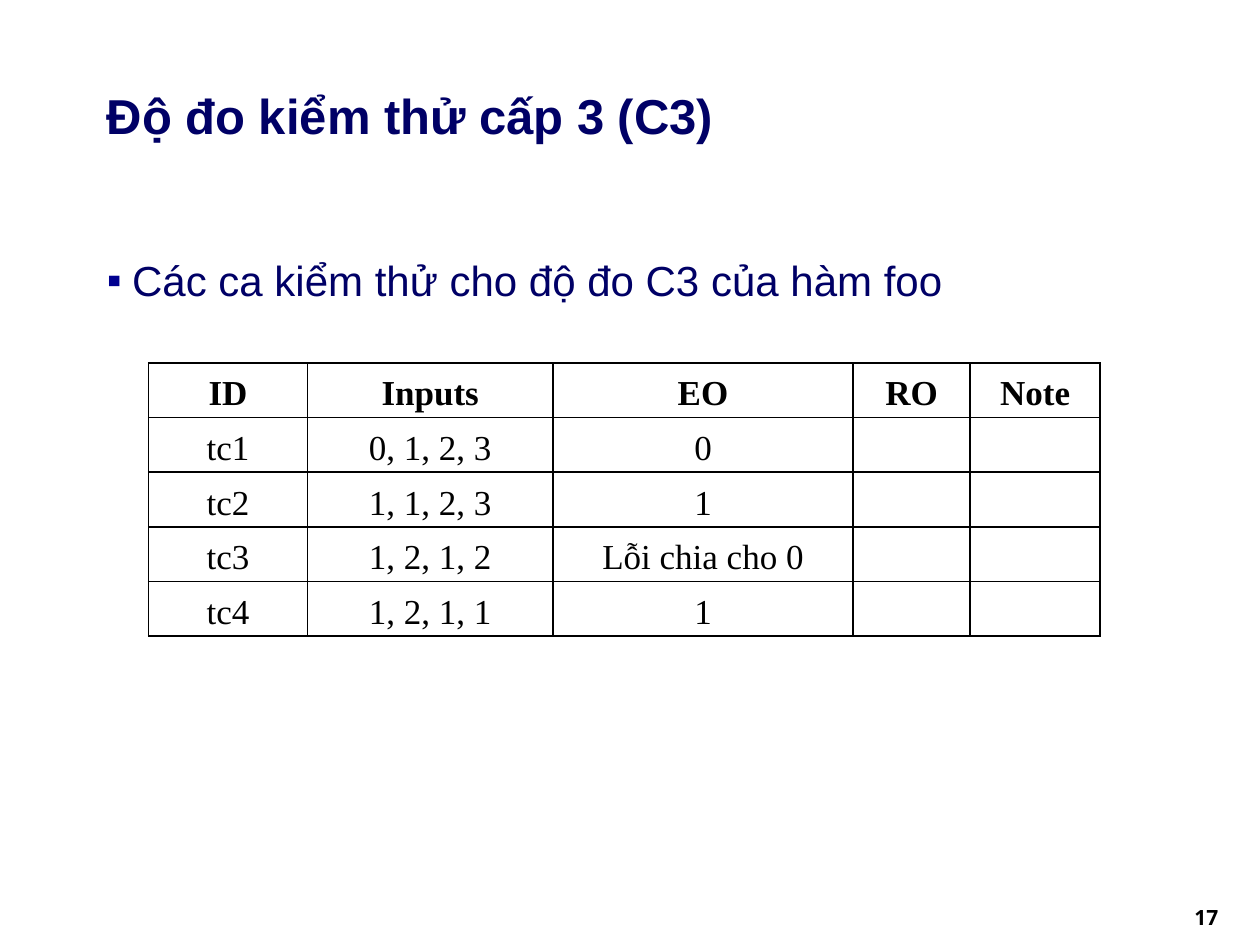
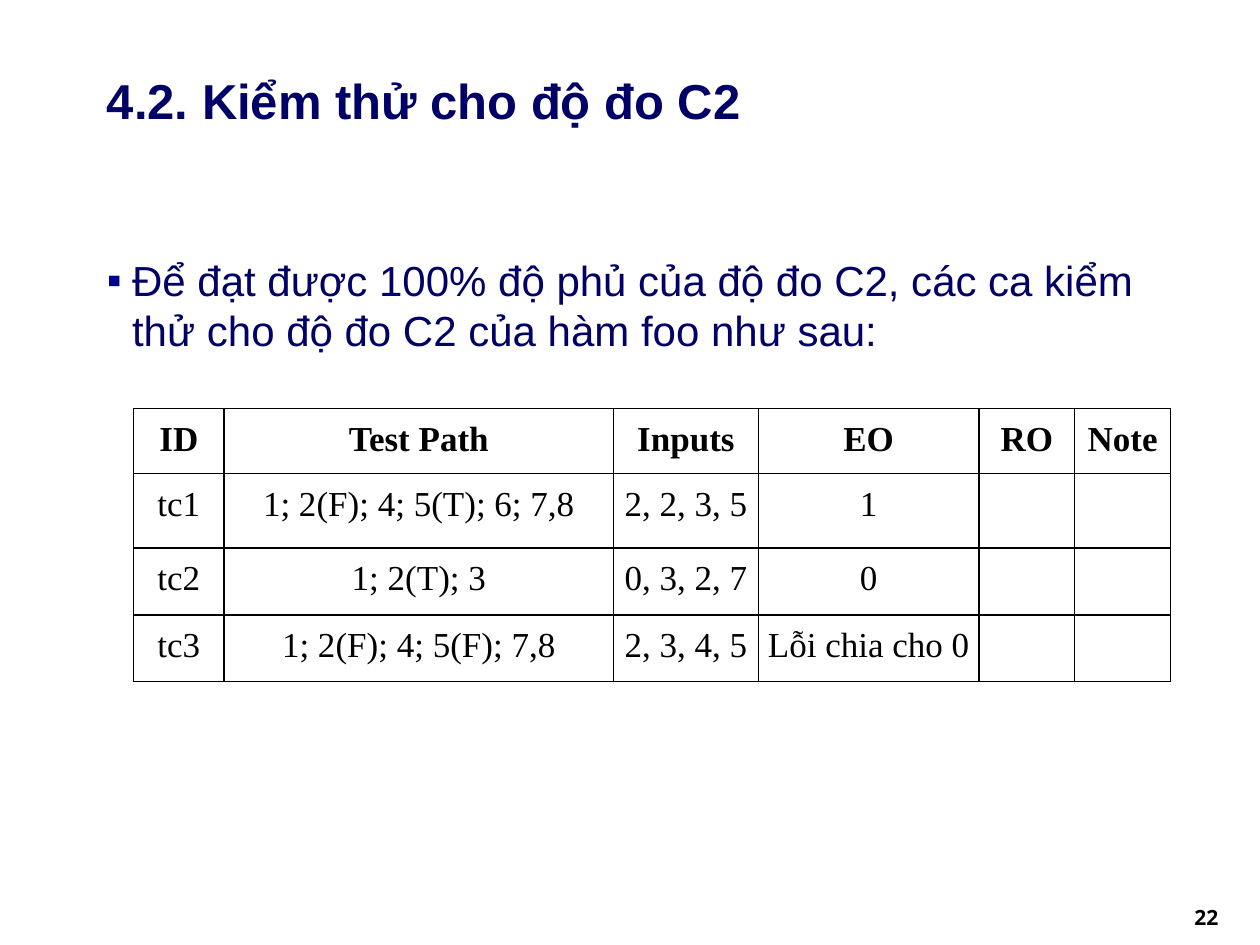
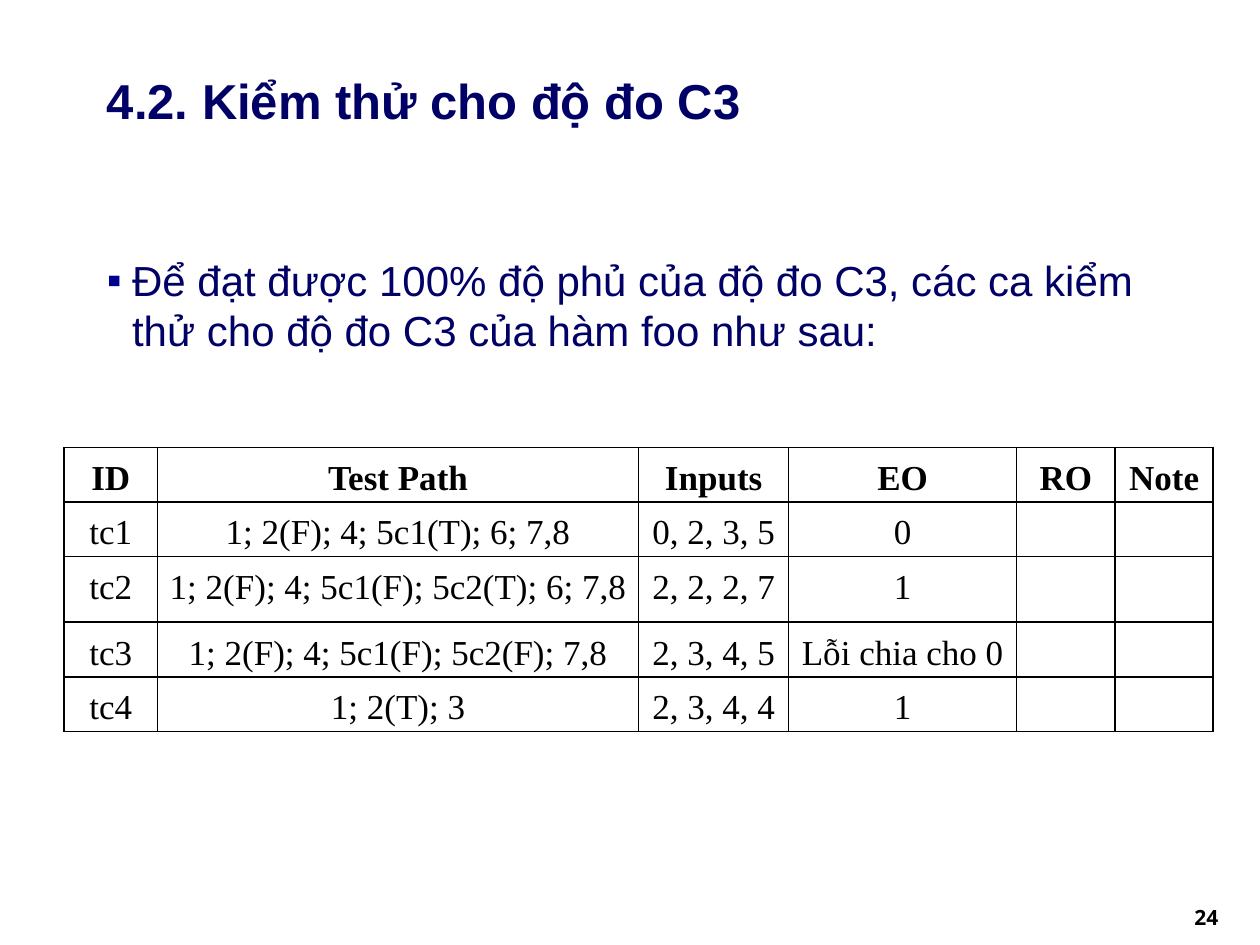
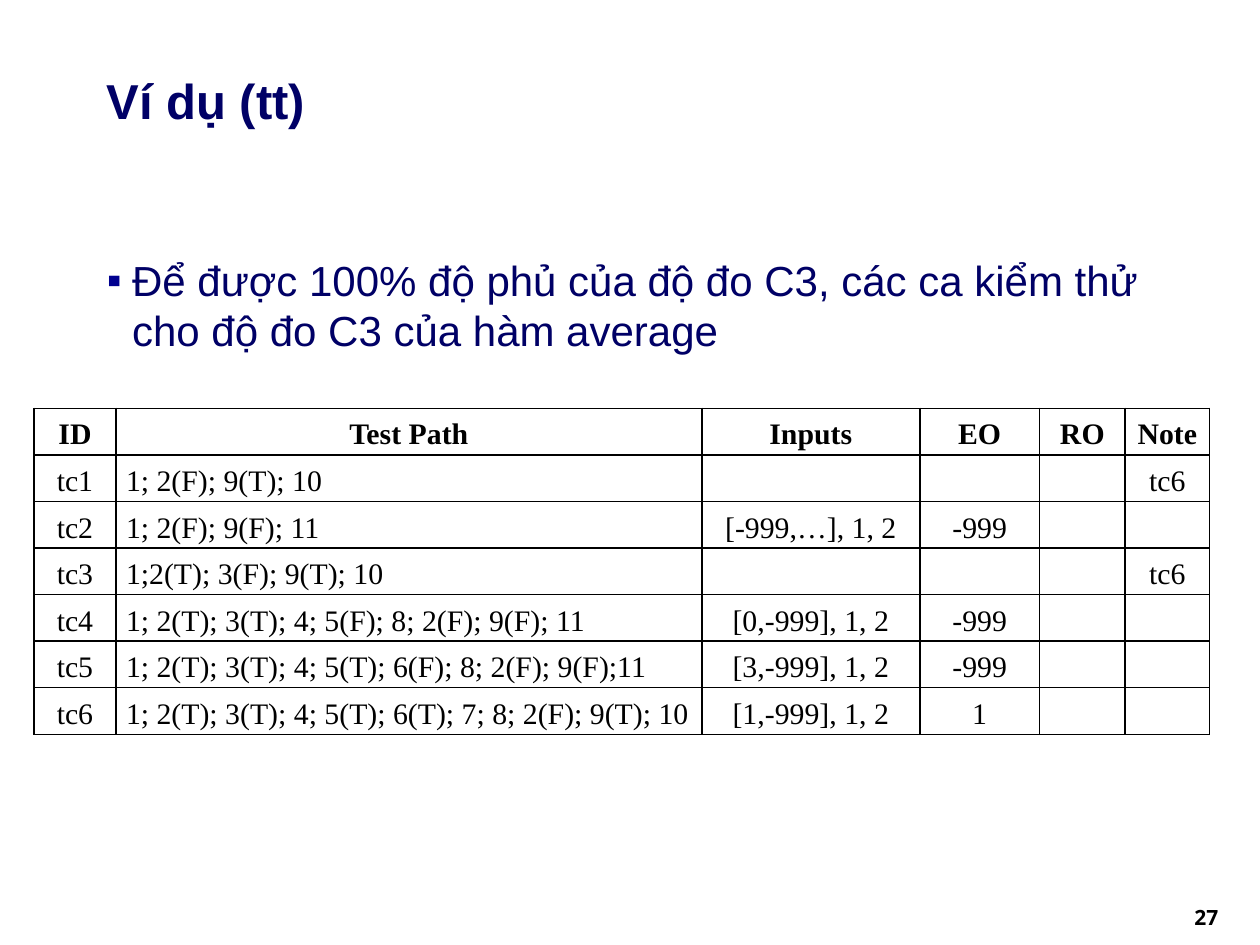
"""Four slides of test-case tables for the coverage measures C2 and C3."""
from lxml.etree import SubElement
from pptx import Presentation
from pptx.dml.color import RGBColor
from pptx.enum.text import MSO_ANCHOR, PP_ALIGN
from pptx.oxml import parse_xml
from pptx.oxml.ns import nsdecls, qn
from pptx.util import Inches, Pt

NAVY, BULLET_BLUE, BLACK = "000066", "000090", "000000"
SLIDE_SIZE = 10, 7.5
TITLE_BOX = 0.75, 0.17, 8.5, 1.25
BODY_BOX = 0.75, 1.97, 8.58, 4.78
NUMBER_BOX = 9.18, 7.14, 0.79, 0.24
BULLET_INDENT = 0.2
TITLE_FONT = {"name": "Arial", "size": 28, "color": NAVY, "bold": True}
BODY_FONT = {"name": "Arial", "size": 24, "color": NAVY, "bold": False}
NUMBER_FONT = {"name": "Noto Sans", "size": 12, "color": BLACK, "bold": True}
HEADER = ["ID", "Test Path", "Inputs", "EO", "RO", "Note"]

SLIDES = [
    {
        "number": 17, "title": "Độ đo kiểm thử cấp 3 (C3)", "title_spacing": 1.5,
        "body": "Các ca kiểm thử cho độ đo C3 của hàm foo",
        "corner": (1.18, 2.88), "columns": [1.26, 1.95, 2.38, 0.93, 1.03],
        "row_heights": [0.43] * 5,
        "rows": [
            ["ID", "Inputs", "EO", "RO", "Note"],
            ["tc1", "0, 1, 2, 3", "0"],
            ["tc2", "1, 1, 2, 3", "1"],
            ["tc3", "1, 2, 1, 2", "Lỗi chia cho 0"],
            ["tc4", "1, 2, 1, 1", "1"],
        ],
    },
    {
        "number": 22, "title": "4.2. Kiểm thử cho độ đo C2",
        "body": "Để đạt được 100% độ phủ của độ đo C2, các ca kiểm thử cho độ đo C2 của hàm foo như sau:",
        "corner": (1.06, 3.24), "columns": [0.72, 3.09, 1.15, 1.75, 0.76, 0.76],
        "row_heights": [0.52, 0.59, 0.53, 0.53],
        "rows": [
            HEADER,
            ["tc1", "1; 2(F); 4; 5(T); 6; 7,8", "2, 2, 3, 5", "1"],
            ["tc2", "1; 2(T); 3", "0, 3, 2, 7", "0"],
            ["tc3", "1; 2(F); 4; 5(F); 7,8", "2, 3, 4, 5", "Lỗi chia cho 0"],
        ],
    },
    {
        "number": 24, "title": "4.2. Kiểm thử cho độ đo C3",
        "body": "Để đạt được 100% độ phủ của độ đo C3, các ca kiểm thử cho độ đo C3 của hàm foo như sau:",
        "corner": (0.51, 3.55), "columns": [0.74, 3.82, 1.19, 1.81, 0.78, 0.78],
        "row_heights": [0.43, 0.43, 0.52, 0.43, 0.43],
        "rows": [
            HEADER,
            ["tc1", "1; 2(F); 4; 5c1(T); 6; 7,8", "0, 2, 3, 5", "0"],
            ["tc2", "1; 2(F); 4; 5c1(F); 5c2(T); 6; 7,8", "2, 2, 2, 7", "1"],
            ["tc3", "1; 2(F); 4; 5c1(F); 5c2(F); 7,8", "2, 3, 4, 5", "Lỗi chia cho 0"],
            ["tc4", "1; 2(T); 3", "2, 3, 4, 4", "1"],
        ],
    },
    {
        "number": 27, "title": "Ví dụ (tt)",
        "body": "Để được 100% độ phủ của độ đo C3, các ca kiểm thử cho độ đo C3 của hàm average",
        "corner": (0.27, 3.24), "columns": [0.65, 4.65, 1.73, 0.95, 0.68, 0.67],
        "row_heights": [0.37] * 7, "size": 17, "margin": 0.08, "left_column": 1,
        "rows": [
            HEADER,
            ["tc1", "1; 2(F); 9(T); 10", "", "", "", "tc6"],
            ["tc2", "1; 2(F); 9(F); 11", "[-999,…], 1, 2", "-999"],
            ["tc3", "1;2(T); 3(F); 9(T); 10", "", "", "", "tc6"],
            ["tc4", "1; 2(T); 3(T); 4; 5(F); 8; 2(F); 9(F); 11", "[0,-999], 1, 2", "-999"],
            ["tc5", "1; 2(T); 3(T); 4; 5(T); 6(F); 8; 2(F); 9(F);11", "[3,-999], 1, 2", "-999"],
            ["tc6", "1; 2(T); 3(T); 4; 5(T); 6(T); 7; 8; 2(F); 9(T); 10", "[1,-999], 1, 2", "1"],
        ],
    },
]


def set_format(target, values):
    for name, value in values.items():
        setattr(target, name, value)


def write(paragraph, text, font, **paragraph_format):
    set_format(paragraph, paragraph_format)
    run = paragraph.add_run()
    run.text = text
    set_format(run.font, {"name": font["name"], "size": Pt(font["size"]), "bold": font["bold"]})
    run.font.color.rgb = RGBColor.from_string(font["color"])


def add_text(slide, box, text, font, anchor, margins=(0.1, 0.05), **paragraph_format):
    frame = slide.shapes.add_textbox(*map(Inches, box)).text_frame
    across, down = map(Inches, margins)
    set_format(frame, {"word_wrap": True, "vertical_anchor": anchor,
                       "margin_left": across, "margin_right": across,
                       "margin_top": down, "margin_bottom": down})
    write(frame.paragraphs[0], text, font, **paragraph_format)
    return frame.paragraphs[0]


def add_bullet(paragraph):
    properties = paragraph._p.get_or_add_pPr()
    indent = Inches(BULLET_INDENT)
    properties.set("marL", str(indent))
    properties.set("indent", str(-indent))
    SubElement(SubElement(properties, qn("a:buClr")), qn("a:srgbClr")).set("val", BULLET_BLUE)
    SubElement(properties, qn("a:buFont")).set("typeface", "Arial")
    SubElement(properties, qn("a:buChar")).set("char", "▪")


def add_borders(cell):
    properties = cell._tc.get_or_add_tcPr()
    for position, side in enumerate("LRTB"):
        properties.insert(position, parse_xml(
            f'<a:ln{side} {nsdecls("a")} w="{Pt(1)}"><a:solidFill>'
            f'<a:srgbClr val="{BLACK}"/></a:solidFill></a:ln{side}>'))


def add_test_table(slide, content):
    columns, heights, rows = content["columns"], content["row_heights"], content["rows"]
    box = (*content["corner"], sum(columns), sum(heights))
    table = slide.shapes.add_table(len(rows), len(columns), *map(Inches, box)).table
    set_format(table, {"first_row": False, "horz_banding": False})
    for column, width in zip(table.columns, columns):
        column.width = Inches(width)
    margin = Inches(content.get("margin", 0.07))
    for row_index, (values, height) in enumerate(zip(rows, heights)):
        table.rows[row_index].height = Inches(height)
        font = {"name": "Times New Roman", "size": content.get("size", 20),
                "color": BLACK, "bold": row_index == 0}
        for column_index in range(len(columns)):
            cell = table.cell(row_index, column_index)
            set_format(cell, {"margin_left": margin, "margin_right": margin,
                              "margin_top": 0, "margin_bottom": 0})
            cell.fill.background()
            add_borders(cell)
            if column_index < len(values) and values[column_index]:
                is_left = row_index > 0 and column_index == content.get("left_column")
                write(cell.text_frame.paragraphs[0], values[column_index], font, line_spacing=1.3,
                      alignment=PP_ALIGN.LEFT if is_left else PP_ALIGN.CENTER)


def main():
    presentation = Presentation()
    presentation.slide_width, presentation.slide_height = map(Inches, SLIDE_SIZE)
    for content in SLIDES:
        slide = presentation.slides.add_slide(presentation.slide_layouts[6])
        add_text(slide, TITLE_BOX, content["title"], TITLE_FONT, MSO_ANCHOR.MIDDLE,
                 line_spacing=content.get("title_spacing"))
        add_bullet(add_text(slide, BODY_BOX, content["body"], BODY_FONT, MSO_ANCHOR.TOP))
        add_text(slide, NUMBER_BOX, str(content["number"]), NUMBER_FONT, MSO_ANCHOR.BOTTOM,
                 margins=(0, 0), alignment=PP_ALIGN.CENTER)
        add_test_table(slide, content)
    presentation.save("out.pptx")


if __name__ == "__main__":
    main()
